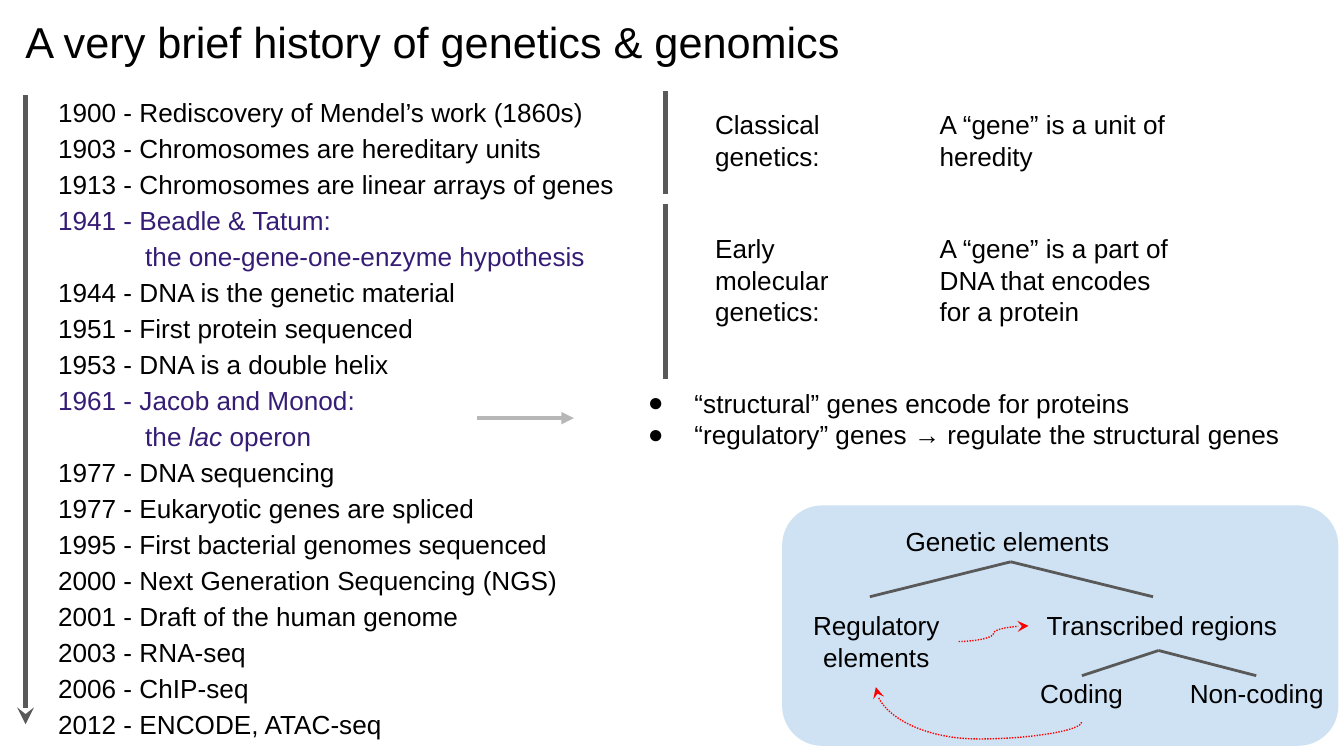
import pptx
import pptx.dml.color
import pptx.enum.dml
import pptx.enum.shapes
import pptx.enum.text
import pptx.oxml
import pptx.oxml.ns
import pptx.util

Pt = pptx.util.Pt
BLACK, PURPLE, GREY, SILVER, RED, BLUE = (
    "000000", "351C75", "595959", "B7B7B7", "FF0000", "CFE2F3")

# Content: a line break splits an entry, asterisks enclose italics
TITLE = "A very brief history of genetics & genomics"
TIMELINE = [
    ("1900 - Rediscovery of Mendel’s work (1860s)", BLACK),
    ("1903 - Chromosomes are hereditary units", BLACK),
    ("1913 - Chromosomes are linear arrays of genes", BLACK),
    ("1941 - Beadle & Tatum:\nthe one-gene-one-enzyme hypothesis", PURPLE),
    ("1944 - DNA is the genetic material", BLACK),
    ("1951 - First protein sequenced", BLACK),
    ("1953 - DNA is a double helix", BLACK),
    ("1961 - Jacob and Monod:\nthe *lac* operon", PURPLE),
    ("1977 - DNA sequencing", BLACK),
    ("1977 - Eukaryotic genes are spliced", BLACK),
    ("1995 - First bacterial genomes sequenced", BLACK),
    ("2000 - Next Generation Sequencing (NGS)", BLACK),
    ("2001 - Draft of the human genome", BLACK),
    ("2003 - RNA-seq", BLACK),
    ("2006 - ChIP-seq", BLACK),
    ("2012 - ENCODE, ATAC-seq", BLACK),
]
# Each era: top, height, bar top, bar bottom, name paragraphs, definition
ERAS = [
    (51, 48, 49, 103.7, ["Classical genetics:"],
     "A “gene” is a unit of heredity"),
    (117.5, 65.5, 109.5, 203, ["Early", "molecular genetics:"],
     "A “gene” is a part of DNA that encodes for a protein"),
]
GENE_KINDS = ["“structural” genes encode for proteins",
              "“regulatory” genes → regulate the structural genes"]
# Tree labels: left, top, width, height, centred
ELEMENTS = {
    "Genetic elements": (478, 274.3, 134, 31.7, False),
    "Regulatory elements": (425.5, 319.5, 88, 48.5, True),
    "Transcribed regions": (551, 319.5, 143, 31.7, True),
    "Coding": (545, 355.8, 69, 31.7, True),
    "Non-coding": (629.3, 355.8, 88, 31.7, True),
}
# Forks: apex, then the ends of the branches
FORKS = [((541.5, 301), [(466, 319.7), (617.7, 319.7)]),
         ((620.7, 348.5), [(579.6, 362), (673, 362)])]


def color(value):
    return pptx.dml.color.RGBColor.from_string(value)


def add_text(left, top, width, height, entries, size=14, centred=False):
    """Add a text box with one paragraph for each (text, colour) entry."""
    box = page.shapes.add_textbox(Pt(left), Pt(top), Pt(width), Pt(height))
    frame = box.text_frame
    frame.word_wrap = True
    frame.margin_left = frame.margin_right = Pt(7.2)
    frame.margin_top = frame.margin_bottom = Pt(7.2)
    for index, (text, ink) in enumerate(entries):
        para = frame.add_paragraph() if index else frame.paragraphs[0]
        if centred:
            para.alignment = pptx.enum.text.PP_ALIGN.CENTER
        for row, line in enumerate(text.split("\n")):
            if row:
                para.add_line_break()
                set_indent(para, 46.7, -46.7)
            for part, words in enumerate(line.split("*")):
                span = para.add_run()
                span.text = words
                span.font.name = "Arial"
                span.font.size = Pt(size)
                span.font.color.rgb = color(ink)
                if part % 2:
                    span.font.italic = True
    return box


def set_indent(para, margin, first):
    properties = para._p.get_or_add_pPr()
    properties.set("marL", str(Pt(margin)))
    properties.set("indent", str(Pt(first)))
    return properties


def add_child(parent, tag, **attributes):
    child = pptx.oxml.parse_xml(f"<a:{tag} {pptx.oxml.ns.nsdecls('a')}/>")
    for name, value in attributes.items():
        child.set(name, value)
    parent.append(child)
    return child


def add_line(start, end, ink, width, head=None, curved=False):
    kinds = pptx.enum.shapes.MSO_CONNECTOR
    line = page.shapes.add_connector(
        kinds.CURVE if curved else kinds.STRAIGHT,
        *(Pt(value) for value in (*start, *end)))
    line.line.color.rgb = color(ink)
    line.line.width = Pt(width)
    if curved:
        line.line.dash_style = pptx.enum.dml.MSO_LINE.ROUND_DOT
    if head:
        add_child(line.line._get_or_add_ln(), "tailEnd", type=head)
    add_child(line._element.spPr, "effectLst")
    return line


deck = pptx.Presentation()
deck.slide_width, deck.slide_height = Pt(720), Pt(405)
page = deck.slides.add_slide(deck.slide_layouts[6])

# Panel behind the tree
panel = page.shapes.add_shape(
    pptx.enum.shapes.MSO_SHAPE.ROUNDED_RECTANGLE,
    Pt(419), Pt(270.8), Pt(298), Pt(128.8))
panel.shadow.inherit = False
panel.fill.solid()
panel.fill.fore_color.rgb = color(BLUE)
panel.line.fill.background()

# Title and timeline
title = add_text(6.5, -0.7, 671, 45.4, [(TITLE, BLACK)], size=23.2)
title.text_frame.vertical_anchor = pptx.enum.text.MSO_ANCHOR.MIDDLE
timeline = add_text(24, 41.8, 381, 363, TIMELINE)
for para in timeline.text_frame.paragraphs:
    para.line_spacing = 1.15
add_line((13.7, 51), (13.7, 388), GREY, 3, "stealth")

# Eras with their bars
for top, height, bar_top, bar_bottom, names, definition in ERAS:
    add_line((356.5, bar_top), (356.5, bar_bottom), GREY, 2.25)
    add_text(376, top, 94.3, height, [(name, BLACK) for name in names])
    add_text(496.3, top, 143, height, [(definition, BLACK)])

# Kinds of genes found by Jacob and Monod
add_line((255.6, 224), (307.5, 224), SILVER, 2.25, "triangle")
kinds_box = add_text(329, 200.2, 376.5, 48,
                     [(kind, BLACK) for kind in GENE_KINDS])
for para in kinds_box.text_frame.paragraphs:
    properties = set_indent(para, 36, -25)
    bullet_color = add_child(properties, "buClr")
    add_child(bullet_color, "srgbClr", val=BLACK)
    add_child(properties, "buFont", typeface="Arial")
    add_child(properties, "buChar", char="●")

# Tree of genetic elements
labels = {}
for name, (left, top, width, height, centred) in ELEMENTS.items():
    labels[name] = add_text(left, top, width, height, [(name, BLACK)],
                            centred=centred)
for apex, ends in FORKS:
    for end in ends:
        add_line(apex, end, GREY, 1.5)

# Dotted feedback: the first arc is laid out upright, then turned a quarter
arc = add_line((533.7, 322.4), (515, 432.6), RED, 0.75, "stealth", True)
arc._element.spPr.xfrm.set("rot", "5400000")
adjustments = arc._element.spPr.prstGeom.get_or_add_avLst()
add_child(adjustments, "gd", name="adj1", fmla="val -48400")
link = add_line((513.5, 343.7), (551, 335.3), RED, 0.75, "stealth", True)
link.begin_connect(labels["Regulatory elements"], 3)
link.end_connect(labels["Transcribed regions"], 1)

deck.save("out.pptx")
